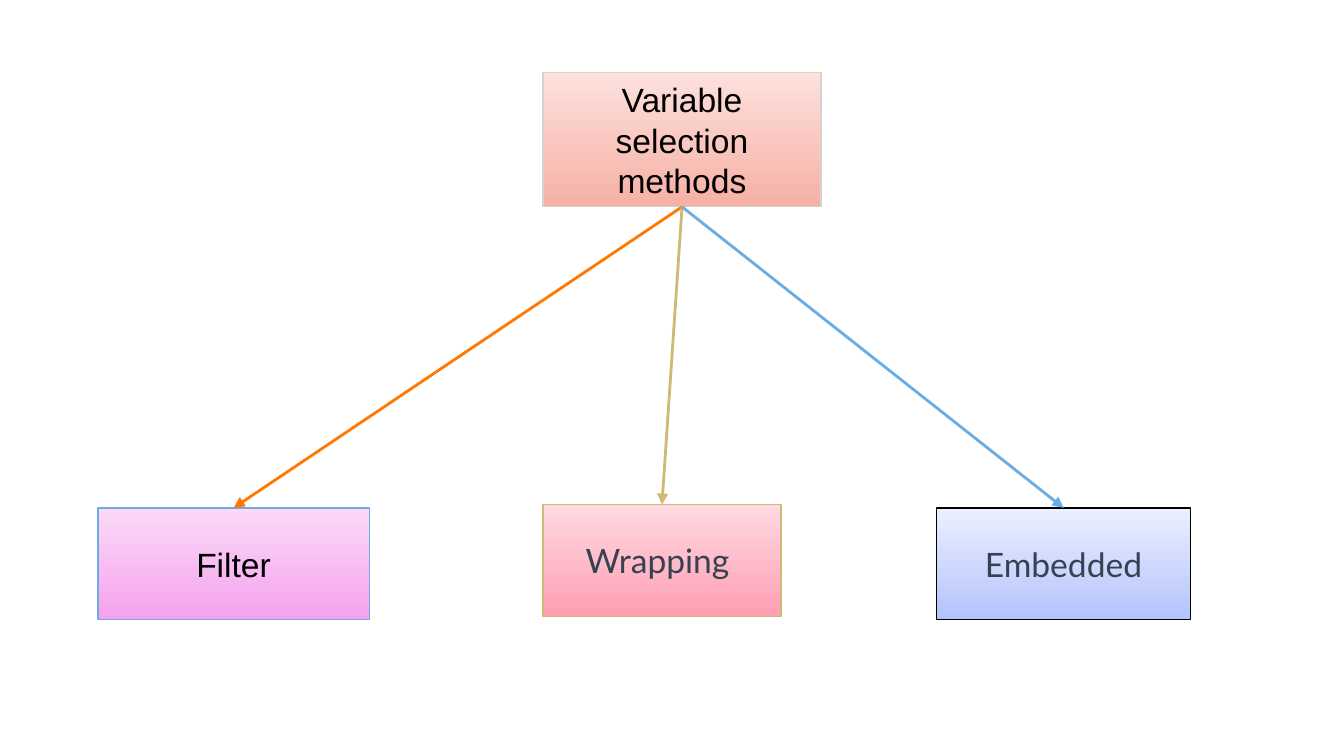
from dataclasses import dataclass

import pptx
import pptx.dml.color
import pptx.enum.shapes
import pptx.enum.text
import pptx.oxml
import pptx.oxml.ns
import pptx.util

Cm = pptx.util.Cm
Pt = pptx.util.Pt


def rgb(value):
    return pptx.dml.color.RGBColor.from_string(value)


@dataclass(frozen=True)
class Theme:
    black: str = "000000"
    slate: str = "374151"
    stone: str = "D5D2CA"
    orange: str = "FF7900"
    gold: str = "D0B972"
    blue: str = "6AADE4"
    salmon_fade: tuple = ("FCE1DD", "F7B0A6")
    orchid_fade: tuple = ("FBD9F7", "F6A2ED")
    rose_fade: tuple = ("FED9E1", "FDA0B3")
    periwinkle_fade: tuple = ("EBEFFE", "B3C4FD")
    plain_font: str = "Arial"
    accent_font: str = "Lato"
    text_size: float = 18
    border_width: float = 0.75
    arrow_width: float = 1.5


class Diagram:
    def __init__(self, slide, theme):
        self.slide = slide
        self.theme = theme

    def box(self, label, left, top, width, height, fade, border, font, color):
        """Add a labelled rectangle whose fill fades from top to bottom."""
        box = self.slide.shapes.add_shape(
            pptx.enum.shapes.MSO_SHAPE.RECTANGLE,
            Cm(left), Cm(top), Cm(width), Cm(height))
        box.shadow.inherit = False
        box.fill.gradient()
        box.fill.gradient_angle = 270
        for stop, shade in zip(box.fill.gradient_stops, fade):
            stop.color.rgb = rgb(shade)
        box.line.color.rgb = rgb(border)
        box.line.width = Pt(self.theme.border_width)

        frame = box.text_frame
        frame.word_wrap = True
        frame.vertical_anchor = pptx.enum.text.MSO_ANCHOR.MIDDLE
        frame.margin_left = frame.margin_right = Cm(0.19)
        frame.margin_top = frame.margin_bottom = Cm(0.1)
        paragraph = frame.paragraphs[0]
        paragraph.alignment = pptx.enum.text.PP_ALIGN.CENTER
        run = paragraph.add_run()
        run.text = label
        run.font.name = font
        run.font.size = Pt(self.theme.text_size)
        run.font.color.rgb = rgb(color)
        return box

    def arrow(self, parent, child, color):
        """Join the parent's bottom centre to the child's top centre."""
        arrow = self.slide.shapes.add_connector(
            pptx.enum.shapes.MSO_CONNECTOR.STRAIGHT, 0, 0, 0, 0)
        arrow.begin_connect(parent, 2)
        arrow.end_connect(child, 0)
        arrow.line.color.rgb = rgb(color)
        arrow.line.width = Pt(self.theme.arrow_width)
        head = pptx.oxml.parse_xml(
            f'<a:tailEnd {pptx.oxml.ns.nsdecls("a")} type="triangle"/>')
        arrow.line._get_or_add_ln().append(head)
        no_effects = pptx.oxml.parse_xml(
            f'<a:effectLst {pptx.oxml.ns.nsdecls("a")}/>')
        arrow._element.spPr.append(no_effects)


def main():
    theme = Theme()
    presentation = pptx.Presentation()
    presentation.slide_width = Cm(25.4)
    presentation.slide_height = Cm(14.29)
    slide = presentation.slides.add_slide(presentation.slide_layouts[6])
    diagram = Diagram(slide, theme)

    middle_left = 10.26
    method_height = 2.11
    selection = diagram.box(
        "Variable selection methods", middle_left, 1.37, 5.26, 2.54,
        theme.salmon_fade, theme.stone, theme.plain_font, theme.black)

    # label, left, top, width, fade, border, font, text colour, arrow colour
    methods = [
        ("Filter", 1.85, 9.6, 5.13, theme.orchid_fade, theme.blue,
         theme.plain_font, theme.black, theme.orange),
        ("Wrapping ", middle_left, 9.54, 4.5, theme.rose_fade, theme.gold,
         theme.accent_font, theme.slate, theme.gold),
        ("Embedded", 17.7, 9.6, 4.8, theme.periwinkle_fade, theme.black,
         theme.accent_font, theme.slate, theme.blue),
    ]
    branches = []
    for label, left, top, width, fade, border, font, color, arrow_color in methods:
        method = diagram.box(label, left, top, width, method_height,
                             fade, border, font, color)
        branches.append((method, arrow_color))
    for method, arrow_color in branches:
        diagram.arrow(selection, method, arrow_color)

    presentation.save("out.pptx")


if __name__ == "__main__":
    main()
